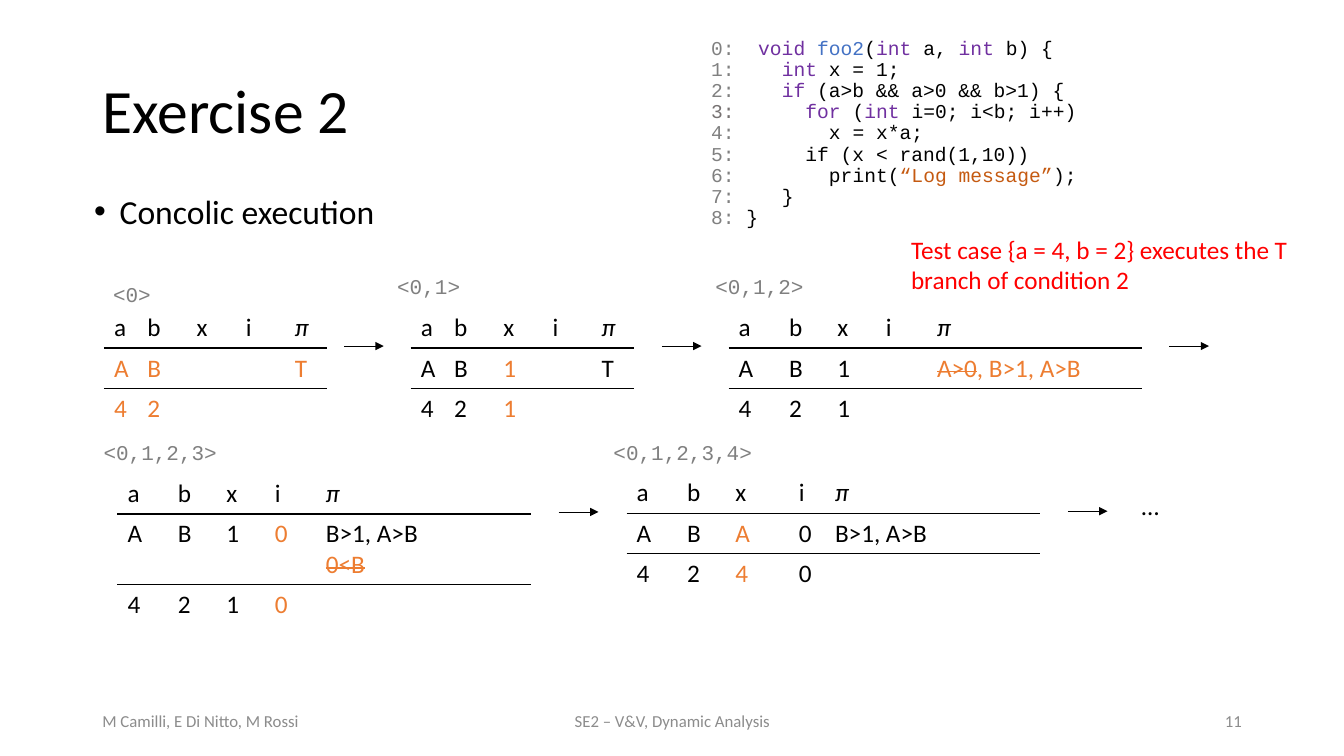
"""Build the concolic execution exercise slide."""
from lxml import etree
from pptx import Presentation
from pptx import util as u
from pptx.dml.color import RGBColor
from pptx.enum import shapes, text
from pptx.oxml.ns import qn

BLACK, GREY, SLATE, FOOTER = "000000", "808080", "767171", "8C8C8C"
PURPLE, BLUE, RUST, ORANGE, RED = "7030A0", "4472C4", "C55A11", "ED7D31", "FF0000"
SANS, MONO = "Calibri", "Courier New"
LEFT, CENTER, RIGHT = text.PP_ALIGN.LEFT, text.PP_ALIGN.CENTER, text.PP_ALIGN.RIGHT
TOP, MIDDLE = text.MSO_ANCHOR.TOP, text.MSO_ANCHOR.MIDDLE


def colour(hex_code):
    return RGBColor.from_string(hex_code)


def child(parent, tag, **attributes):
    return etree.SubElement(parent, qn(tag), **attributes)


class ExerciseSlide:
    def __init__(self, deck):
        self.slide = deck.slides.add_slide(deck.slide_layouts[1])
        self.shapes = self.slide.shapes

    def add_lines(self, frame, lines, size=18, font=SANS, align=LEFT, spacing=1.0):
        paragraph = frame.paragraphs[0]
        paragraph.alignment = align
        paragraph.line_spacing = spacing
        paragraph.space_before = u.Pt(0)
        for number, line in enumerate(lines):
            if number:
                paragraph.add_line_break()
            for words, ink, *effects in line:
                run = paragraph.add_run()
                run.text = words
                run.font.name = font
                run.font.size = u.Pt(size)
                run.font.color.rgb = colour(ink)
                if "italic" in effects:
                    run.font.italic = True
                if "strike" in effects:
                    run._r.get_or_add_rPr().set("strike", "sngStrike")
        for line_break in paragraph._p.findall(qn("a:br")):
            child(line_break, "a:rPr", sz=str(size * 100))

    def placeholder(self, index, box, words, size, anchor, bullet=False):
        holder = self.slide.placeholders[index]
        holder.left, holder.top, holder.width, holder.height = map(u.Cm, box)
        frame = holder.text_frame
        frame.auto_size = text.MSO_AUTO_SIZE.NONE
        frame.vertical_anchor = anchor
        if bullet:
            properties = frame.paragraphs[0]._p.get_or_add_pPr()
            properties.set("marL", str(u.Cm(0.64)))
            properties.set("indent", str(u.Cm(-0.64)))
            child(properties, "a:buFont", typeface="Arial")
            child(properties, "a:buChar", char="•")
        self.add_lines(frame, [[(words, BLACK)]], size, spacing=0.9)

    def text_box(self, box, lines, anchor=TOP, wrap=True, **style):
        frame = self.shapes.add_textbox(*map(u.Cm, box)).text_frame
        frame.word_wrap = wrap
        frame.vertical_anchor = anchor
        self.add_lines(frame, lines, **style)

    def arrow(self, left, top, length=1):
        line = self.shapes.add_connector(
            shapes.MSO_CONNECTOR.STRAIGHT,
            u.Cm(left), u.Cm(top), u.Cm(left + length), u.Cm(top))
        line.line.color.rgb = colour(BLACK)
        line.line.width = u.Pt(0.5)
        child(line.line._get_or_add_ln(), "a:tailEnd", type="triangle")
        child(line._element.spPr, "a:effectLst")

    def rule_cell(self, cell, sides):
        properties = cell._tc.get_or_add_tcPr()
        for side in "LRTB":
            border = child(properties, f"a:ln{side}", w=str(u.Pt(1)))
            if side in sides:
                fill = child(border, "a:solidFill")
                child(fill, "a:srgbClr", val=BLACK)
            else:
                child(border, "a:noFill")
        cell.fill.background()

    def state_table(self, left, top, widths, rows):
        row_height = 1.02
        table = self.shapes.add_table(
            len(rows), len(widths), u.Cm(left), u.Cm(top),
            u.Cm(sum(widths)), u.Cm(row_height * len(rows))).table
        table.first_row = table.horz_banding = False
        for column, width in zip(table.columns, widths):
            column.width = u.Cm(width)
        for r, (row, sides) in enumerate(zip(rows, ("B", "TB", "T"))):
            for c, lines in enumerate(row):
                cell = table.cell(r, c)
                self.rule_cell(cell, sides)
                self.add_lines(cell.text_frame, lines)


def plain(words, ink=BLACK):
    return [[(words, ink)]] if words else [[]]


def new(words):
    return plain(words, ORANGE)


def row(*cells):
    return [plain(cell) if isinstance(cell, str) else cell for cell in cells]


CODE = [
    [("0:  ", GREY), ("void ", PURPLE), ("foo2", BLUE), ("(", BLACK), ("int", PURPLE),
     (" a, ", BLACK), ("int", PURPLE), (" b) {", BLACK)],
    [("1:    ", GREY), ("int", PURPLE), (" x = 1;", BLACK)],
    [("2:    ", GREY), ("if", PURPLE), (" (a>b && a>0 && b>1) {", BLACK)],
    [("3:      ", SLATE), ("for", PURPLE), (" (", BLACK), ("int ", PURPLE),
     ("i=0; i<b; i++)", BLACK)],
    [("4:        ", GREY), ("x = x*a;", BLACK)],
    [("5:      ", GREY), ("if (x < rand(1,10))", BLACK)],
    [("6:        ", GREY), ("print(", BLACK), ("“Log message”", RUST), (");", BLACK)],
    [("7:    ", GREY), ("}", BLACK)],
    [("8:", GREY), (" }", BLACK)],
]

HEADER = row("a", "b", "x", "i", [[("π", BLACK, "italic")]])
NARROW = (0.84, 1.24, 1.24, 1.24, 1.07)
WIDE = (1.27, 1.22, 1.22, 1.29, 5.43)
WIDE_X = (1.27, 1.22, 1.6, 0.91, 5.43)

IMPLIED = [[("A>0", ORANGE, "strike"), (", B>1, A>B", ORANGE)]]
LOOP_ENTRY = [[("B>1, A>B", BLACK)], [("0<B", ORANGE, "strike")]]

STATES = [
    ("<0>", (2.6, 6.97), (2.62, 7.75), NARROW, 8.67,
     row(new("A"), new("B"), "", "", new("T")),
     row(new("4"), new("2"), "", "", "")),
    ("<0,1>", (9.76, 6.78), (10.35, 7.75), NARROW, 16.68,
     row("A", "B", new("1"), "", "T"),
     row("4", "2", new("1"), "", "")),
    ("<0,1,2>", (17.78, 6.78), (18.36, 7.75), WIDE, 29.47,
     row("A", "B", "1", "", IMPLIED),
     row("4", "2", "1", "", "")),
    ("<0,1,2,3>", (2.36, 10.96), (2.96, 11.93), WIDE, 14.08,
     row("A", "B", "1", new("0"), LOOP_ENTRY),
     row("4", "2", "1", new("0"), "")),
    ("<0,1,2,3,4>", (15.21, 10.96), (15.79, 11.91), WIDE_X, 26.91,
     row("A", "B", new("A"), "0", "B>1, A>B"),
     row("4", "2", new("4"), "0", "")),
]

FOOTERS = [
    (2.33, 7.62, LEFT, "M Camilli, E Di Nitto, M Rossi"),
    (11.23, 11.43, CENTER, "SE2 – V&V, Dynamic Analysis"),
    (23.93, 7.62, RIGHT, "11"),
]


def main():
    deck = Presentation()
    deck.slide_width, deck.slide_height = u.Cm(33.87), u.Cm(19.05)
    page = ExerciseSlide(deck)
    page.placeholder(0, (2.33, 1.01, 29.21, 3.68), "Exercise 2", 44, MIDDLE)
    page.placeholder(1, (2.12, 4.79, 29.21, 1.63), "Concolic execution", 24, TOP, bullet=True)
    for left, width, align, words in FOOTERS:
        page.text_box((left, 17.65, width, 1.02), plain(words, FOOTER), MIDDLE,
                      size=12, align=align)
    page.text_box((17.67, 0.84, 13.46, 5.26), CODE, size=14, font=MONO, spacing=0.9)

    for trace, label_at, table_at, widths, arrow_left, symbolic, concrete in STATES:
        label_width = 1.2 + 0.32 * len(trace)
        page.text_box((*label_at, label_width, 0.89), plain(trace, GREY), size=15, font=MONO)
        page.state_table(*table_at, widths, [HEADER, symbolic, concrete])
        page.arrow(arrow_left, table_at[1] + 0.97)

    page.text_box((28.52, 12.24, 0.97, 1.02), plain("…"), wrap=False)
    page.text_box((22.71, 5.77, 10.41, 1.8), [
        [("Test case {a = 4, b = 2} executes the T", RED)],
        [("branch of condition 2", RED)]])
    deck.save("out.pptx")


if __name__ == "__main__":
    main()
